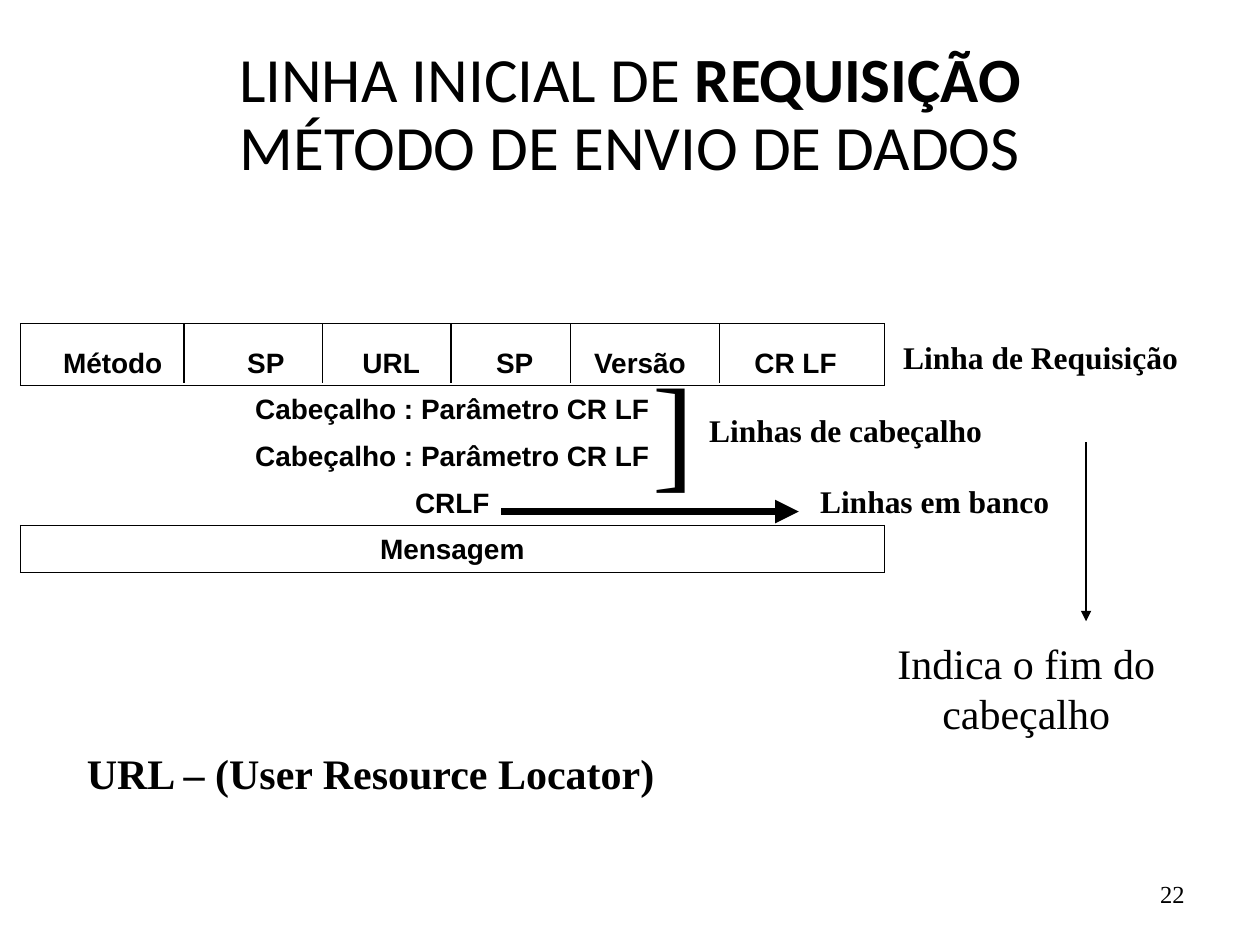
import pptx
import pptx.dml.color
import pptx.enum.shapes
import pptx.enum.text
import pptx.oxml
import pptx.oxml.ns
import pptx.util
from dataclasses import dataclass

ALIGN = pptx.enum.text.PP_ALIGN
ANCHOR = pptx.enum.text.MSO_ANCHOR
COLS, ROWS = 100, 75  # square grid that covers the slide


@dataclass(frozen=True)
class Theme:
    ink: str = "000000"
    title: tuple = ("Calibri", 36)
    cell: tuple = ("Arial", 16)
    label: tuple = ("Times New Roman", 18)
    note: tuple = ("Times New Roman", 24)
    bracket: tuple = ("Times New Roman", 72)
    number: tuple = ("Times New Roman", 14)
    border: float = 0.45
    thin: float = 0.75
    thick: float = 4.5


THEME = Theme()
FIELDS = ["Método", "SP", "URL", "SP", "Versão", "CR LF"]
HEADER = "Cabeçalho : Parâmetro CR LF"
LINES = [HEADER, HEADER, "CRLF", "Mensagem"]
COL_WIDTHS = [14.7, 9.6, 10.3, 9.3, 10.6, 14.1]
ROW_HEIGHTS = [4.9] + [3.7] * len(LINES)
DIVIDERS = [14.6, 25.6, 35.8, 45.3, 57.1]
TABLE_LEFT, TABLE_TOP = 1.6, 25.7


def grid(*units):
    return [pptx.util.Inches(10 * u / COLS) for u in units]


def add_run(p, text, style, bold=False):
    r = p.add_run()
    r.text = text
    name, size = style
    for key, value in {"name": name, "size": pptx.util.Pt(size), "bold": bold}.items():
        setattr(r.font, key, value)
    r.font.color.rgb = pptx.dml.color.RGBColor.from_string(THEME.ink)


def add_text(s, box, text, style, bold=False, align=ALIGN.LEFT, anchor=ANCHOR.TOP):
    tf = s.shapes.add_textbox(*grid(*box)).text_frame
    for key, value in {"word_wrap": True, "vertical_anchor": anchor}.items():
        setattr(tf, key, value)
    p = tf.paragraphs[0]
    p.alignment = align
    if text:
        add_run(p, text, style, bold)
    return p


def add_title(s):
    p = add_text(s, (5, 3, 90, 12.5), "", THEME.title, align=ALIGN.CENTER,
                 anchor=ANCHOR.MIDDLE)
    p.line_spacing = 0.9
    add_run(p, "LINHA INICIAL DE ", THEME.title)
    add_run(p, "REQUISIÇÃO", THEME.title, bold=True)
    p.add_line_break()
    add_run(p, "MÉTODO DE ENVIO DE DADOS", THEME.title)


def add_line(s, start, end, width, arrow=False):
    kind = pptx.enum.shapes.MSO_CONNECTOR.STRAIGHT
    line = s.shapes.add_connector(kind, *grid(*start, *end))
    line.line.width = pptx.util.Pt(width)
    line.line.color.rgb = pptx.dml.color.RGBColor.from_string(THEME.ink)
    if arrow:
        tail = pptx.oxml.ns.qn("a:tailEnd")
        line.line._get_or_add_ln().makeelement(tail)
        line.line._get_or_add_ln().append(pptx.oxml.parse_xml(
            f'<a:tailEnd {pptx.oxml.ns.nsdecls("a")} type="triangle"/>'))
    line._element.spPr.append(pptx.oxml.parse_xml(
        f'<a:effectLst {pptx.oxml.ns.nsdecls("a")}/>'))


def set_borders(cell, edges):
    tcPr = cell._tc.get_or_add_tcPr()
    for edge in "LRTB":
        fill = (f'<a:solidFill><a:srgbClr val="{THEME.ink}"/></a:solidFill>'
                if edge in edges else "<a:noFill/>")
        tcPr.append(pptx.oxml.parse_xml(
            f'<a:ln{edge} {pptx.oxml.ns.nsdecls("a")} '
            f'w="{pptx.util.Pt(THEME.border)}">{fill}</a:ln{edge}>'))


def fill_cell(cell, text):
    p = cell.text_frame.paragraphs[0]
    p.alignment = ALIGN.CENTER
    indent = pptx.util.Inches(0.38)
    pPr = p._p.get_or_add_pPr()
    for key, value in {"marL": indent, "indent": -indent}.items():
        pPr.set(key, str(int(value)))
    add_run(p, text, THEME.cell, bold=True)


def add_message_table(s):
    n_rows, n_cols = len(ROW_HEIGHTS), len(COL_WIDTHS)
    box = grid(TABLE_LEFT, TABLE_TOP, sum(COL_WIDTHS), sum(ROW_HEIGHTS))
    table = s.shapes.add_table(n_rows, n_cols, *box).table
    for key in ("first_row", "horz_banding"):
        setattr(table, key, False)
    for col, width in zip(table.columns, grid(*COL_WIDTHS)):
        col.width = width
    for row, height in zip(table.rows, grid(*ROW_HEIGHTS)):
        row.height = height

    # The first and last rows are framed; the lines between them are open
    last = n_rows - 1
    for i in range(n_rows):
        framed = i in (0, last)
        for j in range(n_cols):
            cell = table.cell(i, j)
            edges = "T" if framed or i == 1 else ""
            edges += "B" if framed or i == last - 1 else ""
            edges += "L" if framed and j == 0 else ""
            edges += "R" if framed and (j == n_cols - 1 or i == last) else ""
            set_borders(cell, edges)
            cell.fill.background()
            cell.vertical_anchor = ANCHOR.BOTTOM

    for j, text in enumerate(FIELDS):
        fill_cell(table.cell(0, j), text)
    for i, text in enumerate(LINES, start=1):
        table.cell(i, 0).merge(table.cell(i, n_cols - 1))
        fill_cell(table.cell(i, 0), text)


def main():
    prs = pptx.Presentation()
    prs.slide_width, prs.slide_height = grid(COLS, ROWS)
    s = prs.slides.add_slide(prs.slide_layouts[6])

    # Title and message layout
    add_title(s)
    add_message_table(s)

    # Slide number
    add_text(s, (71.7, 68.3, 23.3, 5.2), "22", THEME.number,
             align=ALIGN.RIGHT, anchor=ANCHOR.MIDDLE)

    # Labels beside the rows
    for left, top, text in [(70.7, 26.3, "Linha de Requisição"),
                            (55.3, 32.1, "Linhas de cabeçalho"),
                            (64.1, 37.8, "Linhas em banco")]:
        add_text(s, (left, top, 29.9, 4), text, THEME.label, bold=True)
    add_text(s, (50.8, 27.3, 7.9, 13), "]", THEME.bracket)

    # Field dividers and arrows
    add_line(s, (39.8, 40.6), (63.4, 40.6), THEME.thick, arrow=True)
    for x in DIVIDERS:
        add_line(s, (x, TABLE_TOP), (x, TABLE_TOP + 4.7), THEME.thin)
    add_line(s, (86.2, 35.1), (86.2, 49.3), THEME.thin, arrow=True)

    # Notes
    add_text(s, (65.7, 50.1, 31.5, 9), "Indica o fim do cabeçalho", THEME.note,
             align=ALIGN.CENTER)
    add_text(s, (5.9, 58.8, 55.9, 5), "URL – (User Resource Locator)", THEME.note,
             bold=True)

    prs.save("out.pptx")


if __name__ == "__main__":
    main()
